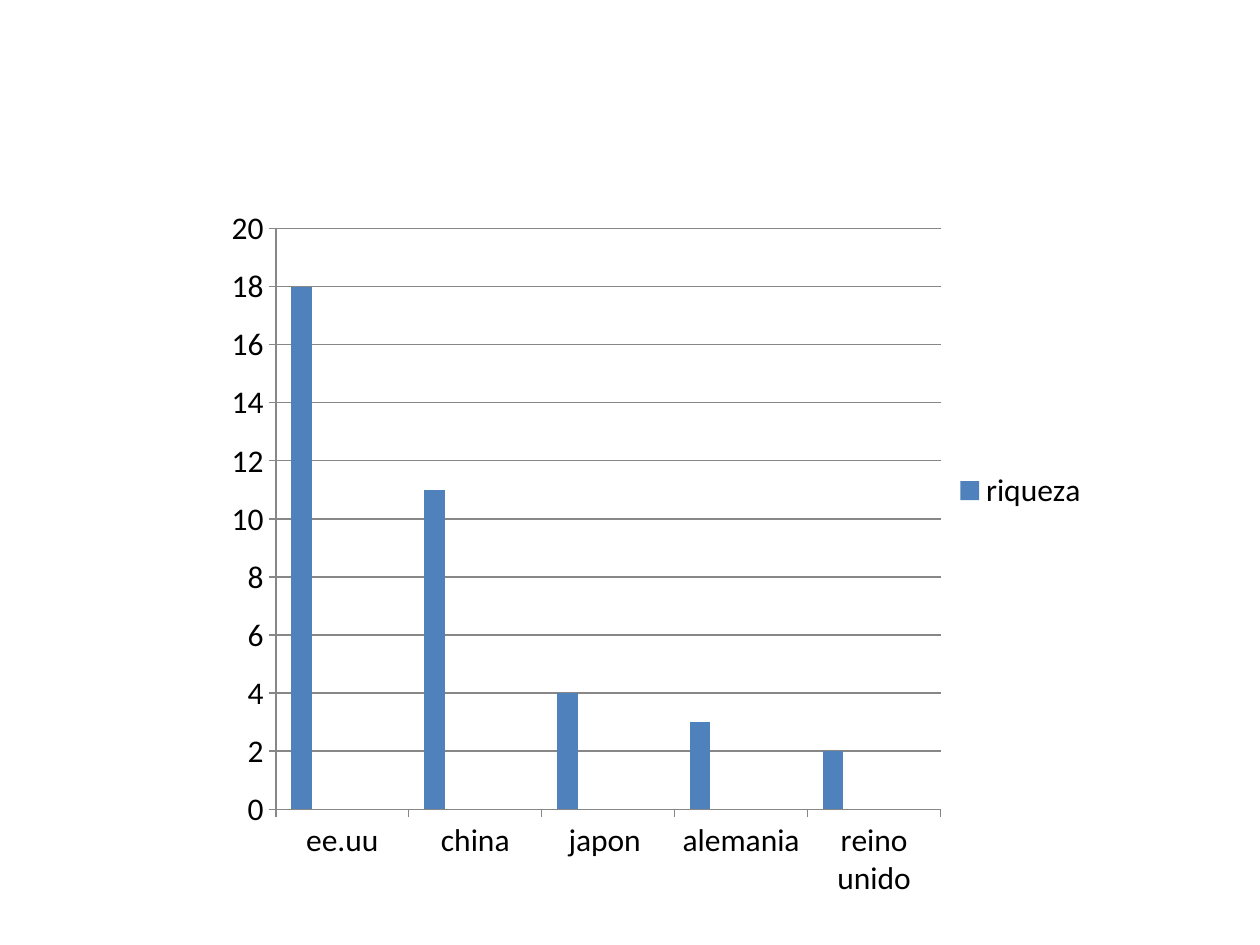
from lxml import etree
from pptx import Presentation
from pptx.chart.data import CategoryChartData
from pptx.dml.color import RGBColor
from pptx.enum.chart import XL_CHART_TYPE, XL_LEGEND_POSITION, XL_TICK_MARK
from pptx.oxml.ns import qn
from pptx.util import Inches, Pt

COLUMN = XL_CHART_TYPE.COLUMN_CLUSTERED
RIGHT = XL_LEGEND_POSITION.RIGHT
OUT = XL_TICK_MARK.OUTSIDE
NO_TICK = XL_TICK_MARK.NONE

COLORS = {
    "text": "000000",
    "line": "878787",
    "riqueza": "4F81BD",
    "Columna1": "C0504D",
    "Columna2": "9BBB59",
    "Columna3": "8064A2",
    "Columna4": "4BACC6",
}
LANDS = ["ee.uu", "china", "japon ", "alemania", "reino unido"]
WEALTH = [18, 11, 4, 3, 2]
EMPTY = [f"Columna{n}" for n in range(1, 5)]


def add(parent, tag, value=None):
    node = etree.SubElement(parent, qn(f"c:{tag}"))
    if value is not None:
        node.set("val", str(value))
    return node


class Deck:
    """Holds the style and the current slide."""

    def __init__(self, font="Calibri", size=18):
        self.font, self.size = font, size
        self.prs = Presentation()
        self.prs.slide_width, self.prs.slide_height = Inches(10), Inches(7.5)
        self.slide = self.prs.slides.add_slide(self.prs.slide_layouts[6])

    def color(self, name):
        return RGBColor.from_string(COLORS[name])

    def stroke(self, line):
        line.color.rgb = self.color("line")
        line.width = Pt(0.75)

    def place(self, parent, index, box, inner=False):
        for old in parent.findall(qn("c:layout")):
            parent.remove(old)
        layout = etree.Element(qn("c:layout"))
        manual = add(layout, "manualLayout")
        if inner:
            add(manual, "layoutTarget", "inner")
        for mode in ("xMode", "yMode"):
            add(manual, mode, "edge")
        for key, value in zip("xywh", box):
            add(manual, key, value)
        parent.insert(index, layout)

    def hide(self, legend, index):
        entry = etree.Element(qn("c:legendEntry"))
        add(entry, "idx", index)
        add(entry, "delete", 1)
        legend.insert(index, entry)

    def chart(self, box, cats, series):
        data = CategoryChartData()
        data.categories = cats
        for name, values in series.items():
            data.add_series(name, values)
        frame = self.slide.shapes.add_chart(COLUMN, *map(Inches, box), data)
        chart = frame.chart
        chart.has_title = False
        chart.font.name, chart.font.size = self.font, Pt(self.size)
        chart.font.color.rgb = self.color("text")
        plot = chart.plots[0]
        plot.gap_width, plot.overlap, plot.vary_by_categories = 150, 0, False
        for item in plot.series:
            item.format.fill.solid()
            item.format.fill.fore_color.rgb = self.color(item.name)
        for axis in (chart.category_axis, chart.value_axis):
            axis.major_tick_mark, axis.minor_tick_mark = OUT, NO_TICK
            self.stroke(axis.format.line)
        scale = chart.value_axis
        scale.minimum_scale, scale.maximum_scale, scale.major_unit = 0, 20, 2
        scale.has_major_gridlines = True
        self.stroke(scale.major_gridlines.format.line)
        chart.has_legend = True
        chart.legend.position = RIGHT
        chart.legend.include_in_layout = False
        return chart


def main():
    deck = Deck()
    series = {"riqueza": WEALTH}
    series.update({name: [None] * len(LANDS) for name in EMPTY})
    chart = deck.chart((1.67, 1.53, 7.43, 5.69), LANDS, series)
    area = chart.element.find(f".//{qn('c:plotArea')}")
    deck.place(area, 0, (0.07, 0.05, 0.71, 0.81), inner=True)
    legend = chart.element.find(f".//{qn('c:legend')}")
    for index in range(1, len(series)):
        deck.hide(legend, index)
    deck.place(legend, len(series), (0.79, 0.38))
    deck.prs.save("out.pptx")


if __name__ == "__main__":
    main()
